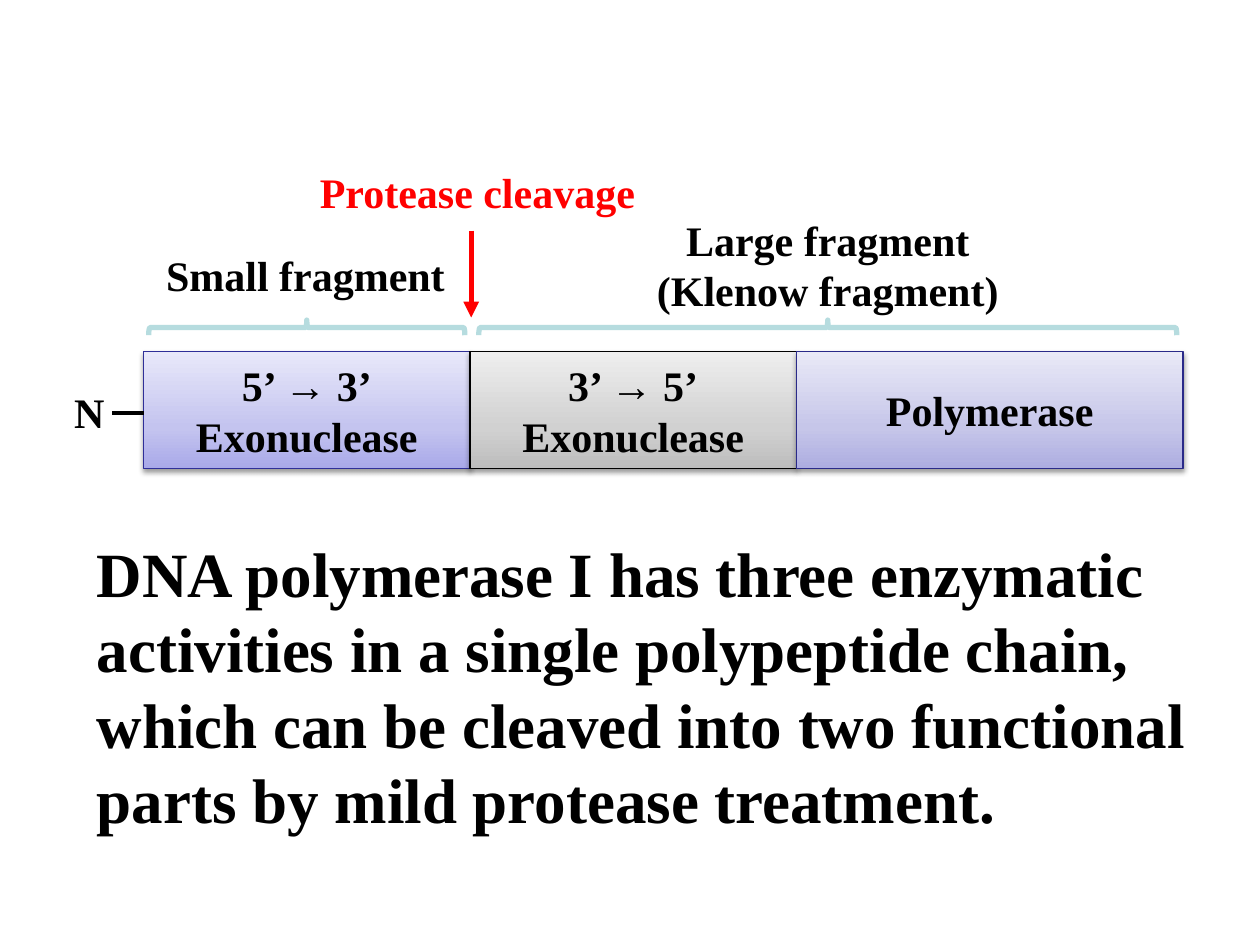
from copy import deepcopy

from pptx import Presentation
from pptx.dml.color import RGBColor
from pptx.enum.shapes import MSO_CONNECTOR, MSO_SHAPE
from pptx.enum.text import MSO_ANCHOR, MSO_AUTO_SIZE, PP_ALIGN
from pptx.oxml import parse_xml
from pptx.oxml.ns import nsdecls, qn
from pptx.util import Inches, Pt

RECTANGLE = MSO_SHAPE.RECTANGLE
BRACE = MSO_SHAPE.RIGHT_BRACE
STRAIGHT = MSO_CONNECTOR.STRAIGHT
MIDDLE = MSO_ANCHOR.MIDDLE
GROW = MSO_AUTO_SIZE.SHAPE_TO_FIT_TEXT
LEFT, CENTER = PP_ALIGN.LEFT, PP_ALIGN.CENTER

FONT = "Times New Roman"
BLACK, RED, BRACE_COLOR = "000000", "FF0000", "B6DCDF"

CHAIN_LEFT, CHAIN_TOP, CHAIN_HEIGHT = 1.14, 2.79, 0.93
BRACE_MIDDLE, BRACE_DEPTH = 2.6, 0.12

# Width, lines of text, gradient from bottom to top, outline
DOMAINS = [
    (2.59, ["5’ → 3’", "Exonuclease"], ["A9A9E9", "C4C4EF", "E8E8FA"], "2F2F98"),
    (2.59, ["3’ → 5’", "Exonuclease"], ["BDBDBD", "D1D1D1", "EEEEEE"], BLACK),
    (3.07, ["Polymerase"], ["ADADE1", "C6C6E9", "E9E9F7"], "2A2A89"),
]

SUMMARY = (
    "DNA polymerase I has three enzymatic activities in a single polypeptide "
    "chain, which can be cleaved into two functional parts by mild protease "
    "treatment."
)


def color(value):
    return RGBColor.from_string(value)


def write(frame, lines, size=24, text_color=BLACK, align=LEFT):
    for index, line in enumerate(lines):
        paragraph = frame.paragraphs[0] if index == 0 else frame.add_paragraph()
        paragraph.text = line
        paragraph.alignment = align
        font = paragraph.font
        font.name, font.size, font.bold = FONT, Pt(size), True
        font.color.rgb = color(text_color)


def add_label(slide, left, top, width, height, lines, wrap=False, **style):
    box = slide.shapes.add_textbox(
        Inches(left), Inches(top), Inches(width), Inches(height))
    box.text_frame.word_wrap = wrap
    box.text_frame.auto_size = GROW
    write(box.text_frame, lines, **style)


def set_gradient(shape, colors):
    shape.fill.gradient()
    shape.fill.gradient_angle = 90
    stop_list = shape._element.spPr.find(qn("a:gradFill")).find(qn("a:gsLst"))
    stop_list.append(deepcopy(stop_list[-1]))
    while len(stop_list) > 3:
        stop_list.remove(stop_list[-1])
    for stop, position, value in zip(shape.fill.gradient_stops, (0, 0.35, 1), colors):
        stop.position = position
        stop.color.rgb = color(value)


def set_shadow(shape):
    shape.shadow.inherit = False
    shape._element.spPr.find(qn("a:effectLst")).append(parse_xml(
        f'<a:outerShdw {nsdecls("a")} blurRad="{Pt(3.1)}" dist="{Pt(1.6)}" '
        'dir="5400000" rotWithShape="0"><a:srgbClr val="000000">'
        '<a:alpha val="38000"/></a:srgbClr></a:outerShdw>'))


def add_domain(slide, left, width, lines, gradient, outline):
    domain = slide.shapes.add_shape(
        RECTANGLE, Inches(left), Inches(CHAIN_TOP), Inches(width), Inches(CHAIN_HEIGHT))
    set_gradient(domain, gradient)
    domain.line.color.rgb = color(outline)
    domain.line.width = Pt(0.75)
    set_shadow(domain)
    domain.text_frame.vertical_anchor = MIDDLE
    domain.text_frame.word_wrap = True
    write(domain.text_frame, lines, align=CENTER)


def add_brace(slide, left, span):
    # Turned a quarter left, so the span is the height before rotation
    brace = slide.shapes.add_shape(
        BRACE,
        Inches(left + (span - BRACE_DEPTH) / 2), Inches(BRACE_MIDDLE - span / 2),
        Inches(BRACE_DEPTH), Inches(span))
    brace.rotation = 270
    brace.fill.background()
    brace.line.color.rgb = color(BRACE_COLOR)
    brace.line.width = Pt(3)
    brace.shadow.inherit = False


def add_line(slide, start, end, line_color, width, arrow=False):
    line = slide.shapes.add_connector(
        STRAIGHT, *(Inches(value) for value in start + end))
    line.line.color.rgb = color(line_color)
    line.line.width = Pt(width)
    if arrow:
        line.line._get_or_add_ln().append(
            parse_xml(f'<a:tailEnd {nsdecls("a")} type="triangle"/>'))
    line._element.spPr.append(parse_xml(f'<a:effectLst {nsdecls("a")}/>'))


def main():
    deck = Presentation()
    deck.slide_width, deck.slide_height = Inches(10), Inches(7.5)
    slide = deck.slides.add_slide(deck.slide_layouts[6])

    # Polypeptide chain, its domains side by side
    left = CHAIN_LEFT
    for width, lines, gradient, outline in DOMAINS:
        add_domain(slide, left, width, lines, gradient, outline)
        left += width

    # N terminus
    add_line(slide, (0.89, 3.28), (CHAIN_LEFT, 3.28), BLACK, 2.25)
    add_label(slide, 0.49, 3.02, 0.46, 0.5, ["N"])

    # Fragments
    add_brace(slide, 1.18, 2.51)
    add_brace(slide, 3.8, 5.54)
    add_label(slide, 1.22, 1.93, 2.44, 0.5, ["Small fragment"])
    add_label(slide, 5.1, 1.65, 2.94, 0.91,
              ["Large fragment", "(Klenow fragment)"], align=CENTER)

    # Cleavage site
    add_line(slide, (3.74, 1.83), (3.74, 2.52), RED, 3, arrow=True)
    add_label(slide, 2.44, 1.27, 2.71, 0.5, ["Protease cleavage"], text_color=RED)

    # Summary
    add_label(slide, 0.67, 4.19, 8.92, 2.52, [SUMMARY], wrap=True, size=36)

    deck.save("out.pptx")


if __name__ == "__main__":
    main()
